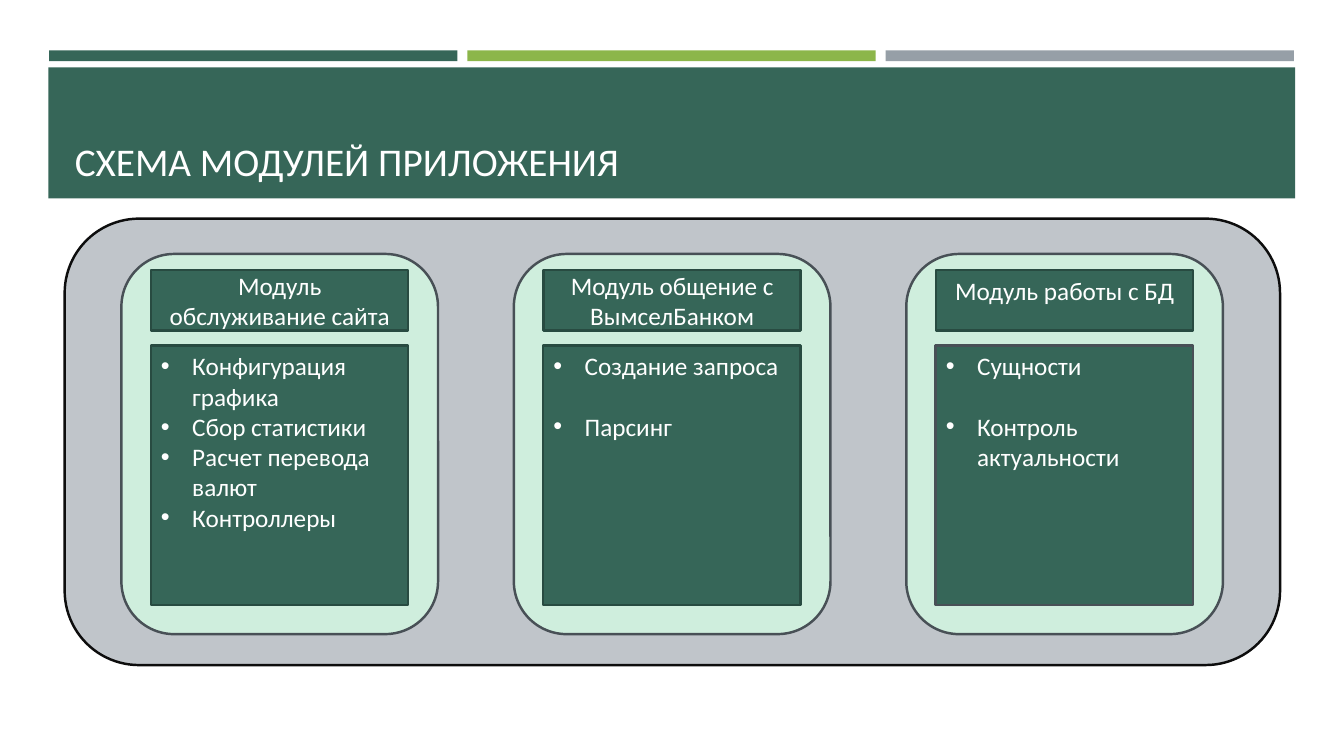
from dataclasses import dataclass

import pptx
import pptx.dml.color
import pptx.enum.shapes
import pptx.enum.text
import pptx.oxml
import pptx.oxml.ns
import pptx.util
from pptx.util import Cm

SHAPE = pptx.enum.shapes.MSO_SHAPE
ANCHOR = pptx.enum.text.MSO_ANCHOR
ALIGN = pptx.enum.text.PP_ALIGN


@dataclass(frozen=True)
class Theme:
    font: str = "Calibri"
    title_size: float = 28
    text_size: float = 18
    item_gap: float = 21.5
    line_width: float = 1.75
    text: str = "FFFFFF"
    green: str = "366658"
    lime: str = "8CB64A"
    gray: str = "969FA7"
    panel: str = "C0C5CA"
    panel_line: str = "0D0D0D"
    module: str = "CFEEDD"
    slate: str = "485056"
    dark_green: str = "284B41"


@dataclass(frozen=True)
class Box:
    left: float
    top: float
    width: float
    height: float


@dataclass(frozen=True)
class Module:
    name: str
    items: tuple[str, ...]
    gap: float
    anchor: ANCHOR
    list_line: str


THEME = Theme()
MODULES = (
    Module("Модуль обслуживание сайта",
           ("Конфигурация графика", "Сбор статистики", "Расчет перевода валют", "Контроллеры"),
           0, ANCHOR.MIDDLE, THEME.dark_green),
    Module("Модуль общение с ВымселБанком", ("Создание запроса", "Парсинг"),
           THEME.item_gap, ANCHOR.MIDDLE, THEME.dark_green),
    Module("Модуль работы с БД", ("Сущности", "Контроль актуальности"),
           THEME.item_gap, ANCHOR.TOP, THEME.slate),
)


def rgb(color: str) -> pptx.dml.color.RGBColor:
    return pptx.dml.color.RGBColor.from_string(color)


def paint(sp, fill: str, line: str | None = None) -> None:
    sp.fill.solid()
    sp.fill.fore_color.rgb = rgb(fill)
    if line is None:
        sp.line.fill.background()
    else:
        sp.line.color.rgb = rgb(line)
        sp.line.width = pptx.util.Pt(THEME.line_width)


def add_box(s, kind: SHAPE, box: Box, fill: str, line: str | None = None):
    sp = s.shapes.add_shape(kind, Cm(box.left), Cm(box.top), Cm(box.width), Cm(box.height))
    sp.shadow.inherit = False
    paint(sp, fill, line)
    return sp


def place_in_front(s, sp, box: Box) -> None:
    sp.left, sp.top = Cm(box.left), Cm(box.top)
    sp.width, sp.height = Cm(box.width), Cm(box.height)
    s.shapes.element.append(sp.element)


def write(sp, text: str, size: float, align: ALIGN, anchor: ANCHOR) -> None:
    tf = sp.text_frame
    tf.text = text
    tf.word_wrap = True
    tf.auto_size = pptx.enum.text.MSO_AUTO_SIZE.NONE
    tf.vertical_anchor = anchor
    for p in tf.paragraphs:
        p.alignment = align
        for r in p.runs:
            r.font.name = THEME.font
            r.font.size = pptx.util.Pt(size)
            r.font.bold = False
            r.font.color.rgb = rgb(THEME.text)


def add_bullets(sp, gap: float) -> None:
    ns = pptx.oxml.ns.nsdecls("a")
    for i, p in enumerate(sp.text_frame.paragraphs):
        p.space_before = pptx.util.Pt(gap if i else 0)
        p.space_after = pptx.util.Pt(0)
        pPr = p._p.get_or_add_pPr()
        pPr.set("marL", str(Cm(0.79)))
        pPr.set("indent", str(-Cm(0.79)))
        pPr.append(pptx.oxml.parse_xml(f'<a:buFont {ns} typeface="Arial"/>'))
        pPr.append(pptx.oxml.parse_xml(f'<a:buChar {ns} char="•"/>'))


def draw_module(s, module: Module, left: float, sp) -> None:
    add_box(s, SHAPE.ROUNDED_RECTANGLE, Box(left, 6.4, 7.98, 9.58), THEME.module, THEME.slate)
    header = add_box(s, SHAPE.RECTANGLE, Box(left + 0.75, 6.81, 6.48, 1.52),
                     THEME.green, THEME.dark_green)
    write(header, module.name, THEME.text_size, ALIGN.CENTER, module.anchor)
    place_in_front(s, sp, Box(left + 0.74, 8.71, 6.48, 6.53))
    paint(sp, THEME.green, module.list_line)
    write(sp, "\n".join(module.items), THEME.text_size, ALIGN.LEFT, ANCHOR.TOP)
    add_bullets(sp, module.gap)


prs = pptx.Presentation()
prs.slide_width, prs.slide_height = Cm(33.87), Cm(19.05)
s = prs.slides.add_slide(prs.slide_layouts.get_by_name("Comparison"))
title, *lists = s.placeholders

for i, color in enumerate((THEME.green, THEME.lime, THEME.gray)):
    add_box(s, SHAPE.RECTANGLE, Box(1.24 + i * 10.54, 1.27, 10.29, 0.27), color)
add_box(s, SHAPE.RECTANGLE, Box(1.22, 1.7, 31.42, 3.3), THEME.green)
add_box(s, SHAPE.ROUNDED_RECTANGLE, Box(1.63, 5.51, 30.63, 11.25),
        THEME.panel, THEME.panel_line)

place_in_front(s, title, Box(1.63, 1.96, 30.63, 2.82))
write(title, "СХЕМА МОДУЛЕЙ ПРИЛОЖЕНИЯ", THEME.title_size, ALIGN.LEFT, ANCHOR.BOTTOM)

for i, (module, sp) in enumerate(zip(MODULES, lists)):
    draw_module(s, module, 3.06 + i * 9.89, sp)
for sp in lists[len(MODULES):]:
    s.shapes.element.remove(sp.element)

prs.save("out.pptx")
